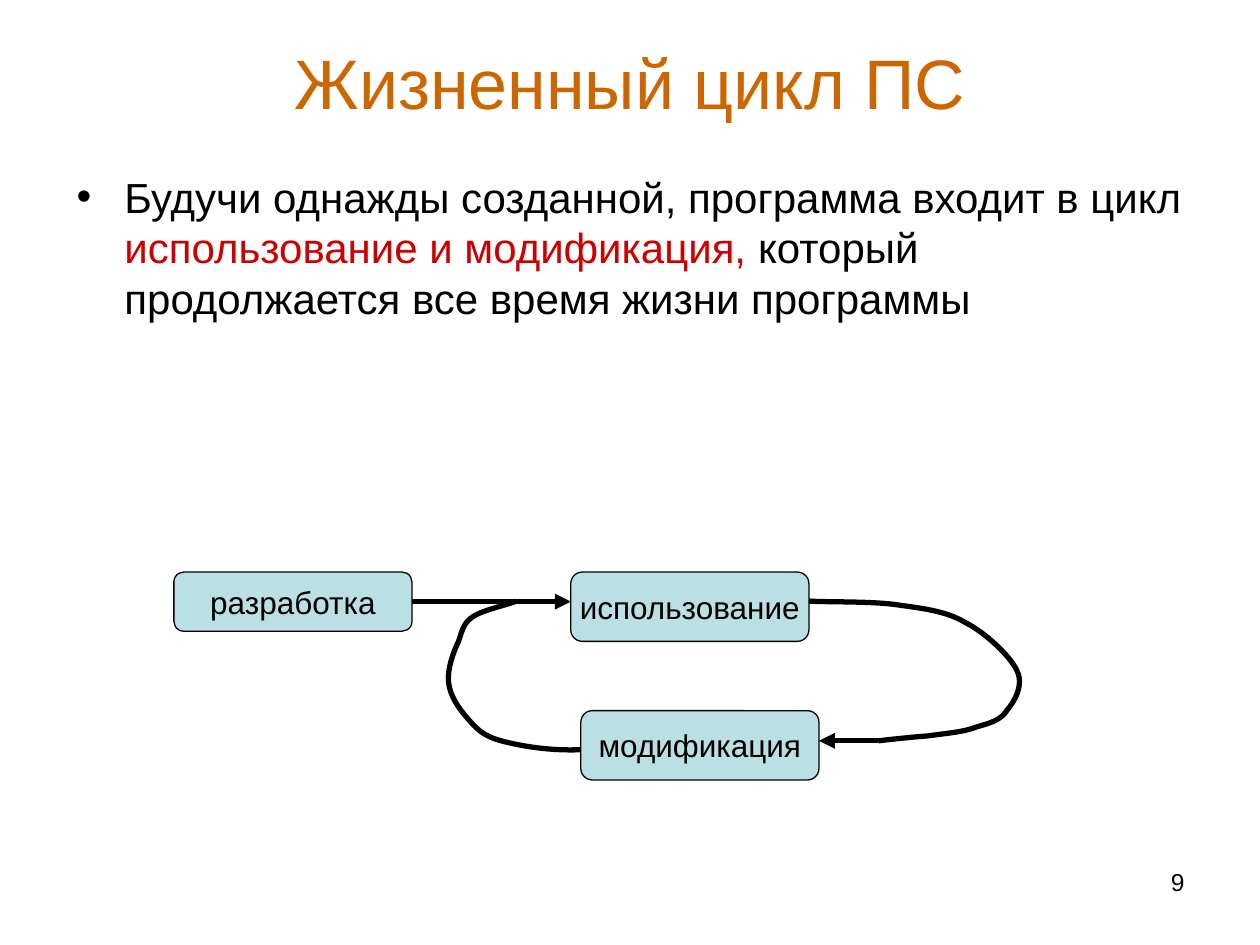
"""Build a slide on the life cycle of a software system."""
import dataclasses

import lxml.etree
import pptx
import pptx.dml.color
import pptx.enum.shapes
import pptx.enum.text
import pptx.oxml.ns
import pptx.util

Inches = pptx.util.Inches
Align = pptx.enum.text.PP_ALIGN
Anchor = pptx.enum.text.MSO_ANCHOR
Shape = pptx.enum.shapes.MSO_SHAPE


@dataclasses.dataclass(frozen=True)
class Theme:
    """Colours, font, type sizes and line widths."""
    font: str = "Arial"
    title: str = "CC6600"
    ink: str = "000000"
    accent: str = "CC0000"
    fill: str = "BBE0E3"
    title_size: int = 40
    body_size: int = 24
    label_size: int = 18
    number_size: int = 14
    outline: float = 0.75
    arrow: float = 3


THEME = Theme()


def rgb(value):
    """Turn a hex string into a colour."""
    return pptx.dml.color.RGBColor.from_string(value)


def apply_format(target, values):
    """Set each attribute in values on the target."""
    for name, value in values.items():
        setattr(target, name, value)


def add_child(parent, tag, **attributes):
    """Append a DrawingML element to the parent."""
    return lxml.etree.SubElement(parent, pptx.oxml.ns.qn(tag), attributes)


def write_text(box, spans, size, align, anchor=Anchor.TOP, wrap=True):
    """Write coloured spans as one paragraph in the box."""
    apply_format(box.text_frame, {"word_wrap": wrap, "vertical_anchor": anchor})
    para = box.text_frame.paragraphs[0]
    para.alignment = align
    for text, color in spans:
        span = para.add_run()
        span.text = text
        apply_format(span.font, {"name": THEME.font, "size": pptx.util.Pt(size)})
        span.font.color.rgb = rgb(color)
    return para


def add_text(page, place, spans, size, align, anchor=Anchor.TOP):
    """Add a text box and return its paragraph."""
    box = page.shapes.add_textbox(*map(Inches, place))
    return write_text(box, spans, size, align, anchor)


def add_bullet(para, indent):
    """Give the paragraph a round bullet with a hanging indent."""
    properties = para._p.get_or_add_pPr()
    properties.set("marL", str(Inches(indent)))
    properties.set("indent", str(-Inches(indent)))
    color = add_child(properties, "a:buClr")
    add_child(color, "a:srgbClr", val=THEME.ink)
    add_child(properties, "a:buFont", typeface=THEME.font)
    add_child(properties, "a:buChar", char="•")


def style_line(line, width):
    """Set the colour and width of a line."""
    line.color.rgb = rgb(THEME.ink)
    line.width = pptx.util.Pt(width)


def add_stage(page, label, left, top, height):
    """Add a rounded box for one stage of the cycle."""
    box = page.shapes.add_shape(
        Shape.ROUNDED_RECTANGLE, *map(Inches, (left, top, 1.89, height)))
    box.shadow.inherit = False
    box.fill.solid()
    box.fill.fore_color.rgb = rgb(THEME.fill)
    style_line(box.line, THEME.outline)
    write_text(box, [(label, THEME.ink)], THEME.label_size,
               Align.CENTER, Anchor.MIDDLE, False)
    return box


def add_arrow(page, start, end):
    """Add a straight arrow from start to end."""
    arrow = page.shapes.add_connector(
        pptx.enum.shapes.MSO_CONNECTOR.STRAIGHT, *map(Inches, start + end))
    style_line(arrow.line, THEME.arrow)
    add_child(arrow.line._get_or_add_ln(), "a:tailEnd", type="triangle")
    add_child(arrow._element.spPr, "a:effectLst")
    return arrow


def add_curve(page, start, points):
    """Draw an open curve; each three points are two handles and an end."""
    builder = page.shapes.build_freeform(*map(Inches, start))
    builder.add_line_segments([tuple(map(Inches, point)) for point in points], close=False)
    curve = builder.convert_to_shape()
    bend_segments(curve)
    curve.shadow.inherit = False
    curve.fill.background()
    style_line(curve.line, THEME.arrow)


def bend_segments(curve):
    """Join each three straight segments into one cubic segment."""
    segments = list(curve._element.iter(pptx.oxml.ns.qn("a:lnTo")))
    outline = segments[0].getparent()
    for first in range(0, len(segments), 3):
        cubic = add_child(outline, "a:cubicBezTo")
        for segment in segments[first:first + 3]:
            cubic.append(segment[0])
            outline.remove(segment)


def main():
    """Build and save the slide."""
    deck = pptx.Presentation()
    apply_format(deck, {"slide_width": Inches(10), "slide_height": Inches(7.5)})
    page = deck.slides.add_slide(deck.slide_layouts[6])

    add_text(page, (0.5, 0.3, 9, 0.69), [("Жизненный цикл ПС", THEME.title)],
             THEME.title_size, Align.CENTER, Anchor.MIDDLE)
    body = add_text(page, (0.51, 1.31, 9, 2.28), [
        ("Будучи однажды созданной, программа входит в цикл ", THEME.ink),
        ("использование и модификация, ", THEME.accent),
        ("который продолжается все время жизни программы", THEME.ink),
    ], THEME.body_size, Align.LEFT)
    add_bullet(body, 0.38)

    development = add_stage(page, "разработка", 1.38, 4.54, 0.47)
    entry = add_arrow(page, (3.27, 4.77), (4.53, 4.77))
    entry.begin_connect(development, 3)
    entry.end_y = entry.begin_y
    add_stage(page, "использование", 4.53, 4.54, 0.55)
    add_stage(page, "модификация", 4.61, 5.64, 0.55)

    add_curve(page, (4.61, 5.95), [
        (4.36, 5.96), (4.13, 5.92), (3.98, 5.88),
        (3.83, 5.84), (3.78, 5.78), (3.71, 5.7),
        (3.64, 5.62), (3.57, 5.52), (3.56, 5.41),
        (3.55, 5.31), (3.6, 5.17), (3.64, 5.09),
        (3.67, 5), (3.68, 4.94), (3.76, 4.89),
        (3.84, 4.84), (4.03, 4.8), (4.1, 4.77),
    ])
    add_arrow(page, (6.97, 5.88), (6.5, 5.88))
    add_curve(page, (6.42, 4.77), [
        (6.53, 4.78), (6.92, 4.77), (7.12, 4.8),
        (7.33, 4.83), (7.51, 4.85), (7.66, 4.94),
        (7.82, 5.02), (8.02, 5.21), (8.07, 5.32),
        (8.13, 5.44), (8.05, 5.57), (7.99, 5.64),
        (7.94, 5.72), (7.85, 5.74), (7.75, 5.77),
        (7.65, 5.81), (7.51, 5.82), (7.37, 5.84),
        (7.24, 5.85), (7.05, 5.87), (6.97, 5.88),
    ])

    add_text(page, (7.17, 6.83, 2.33, 0.52), [("9", THEME.ink)],
             THEME.number_size, Align.RIGHT)
    deck.save("out.pptx")


if __name__ == "__main__":
    main()
